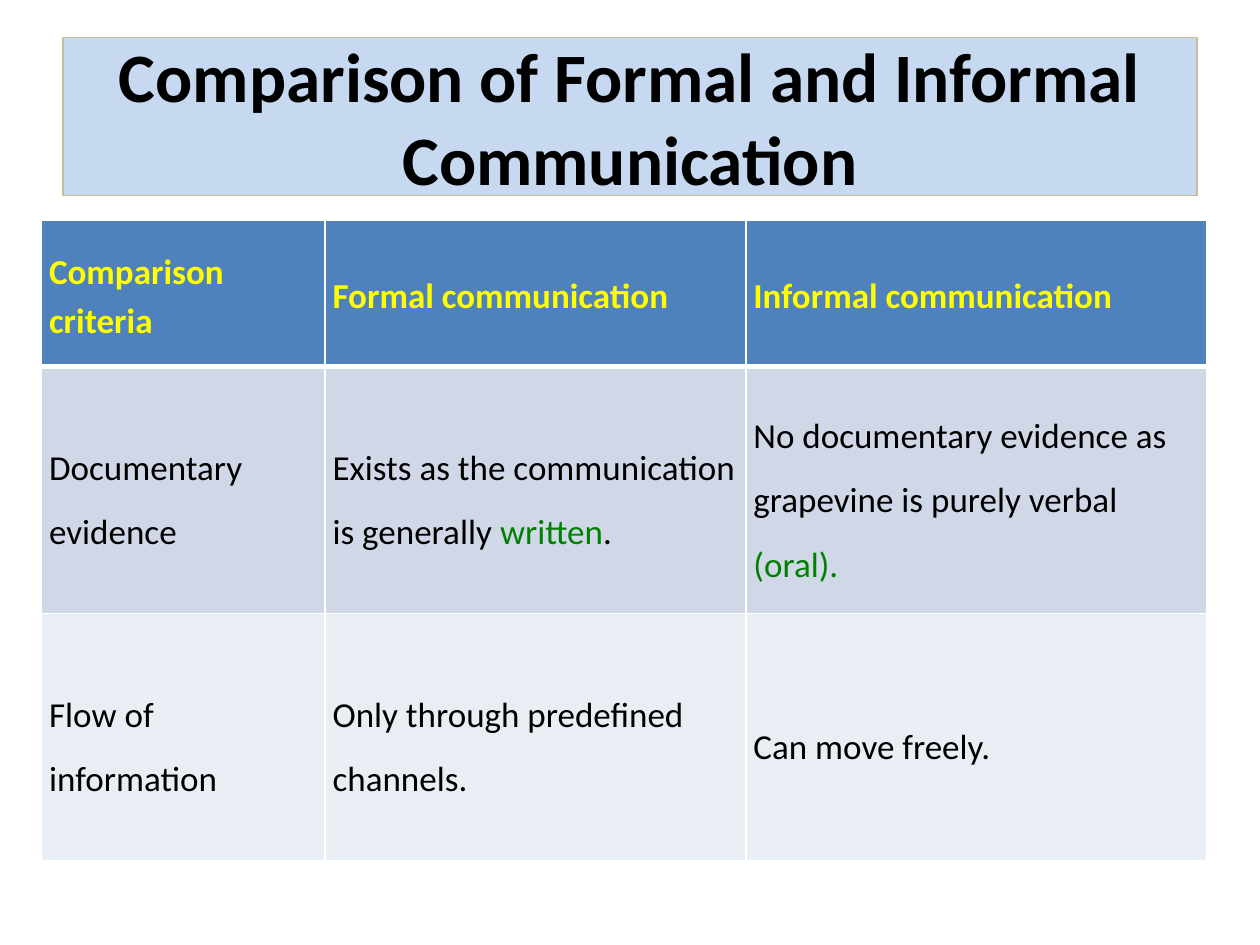
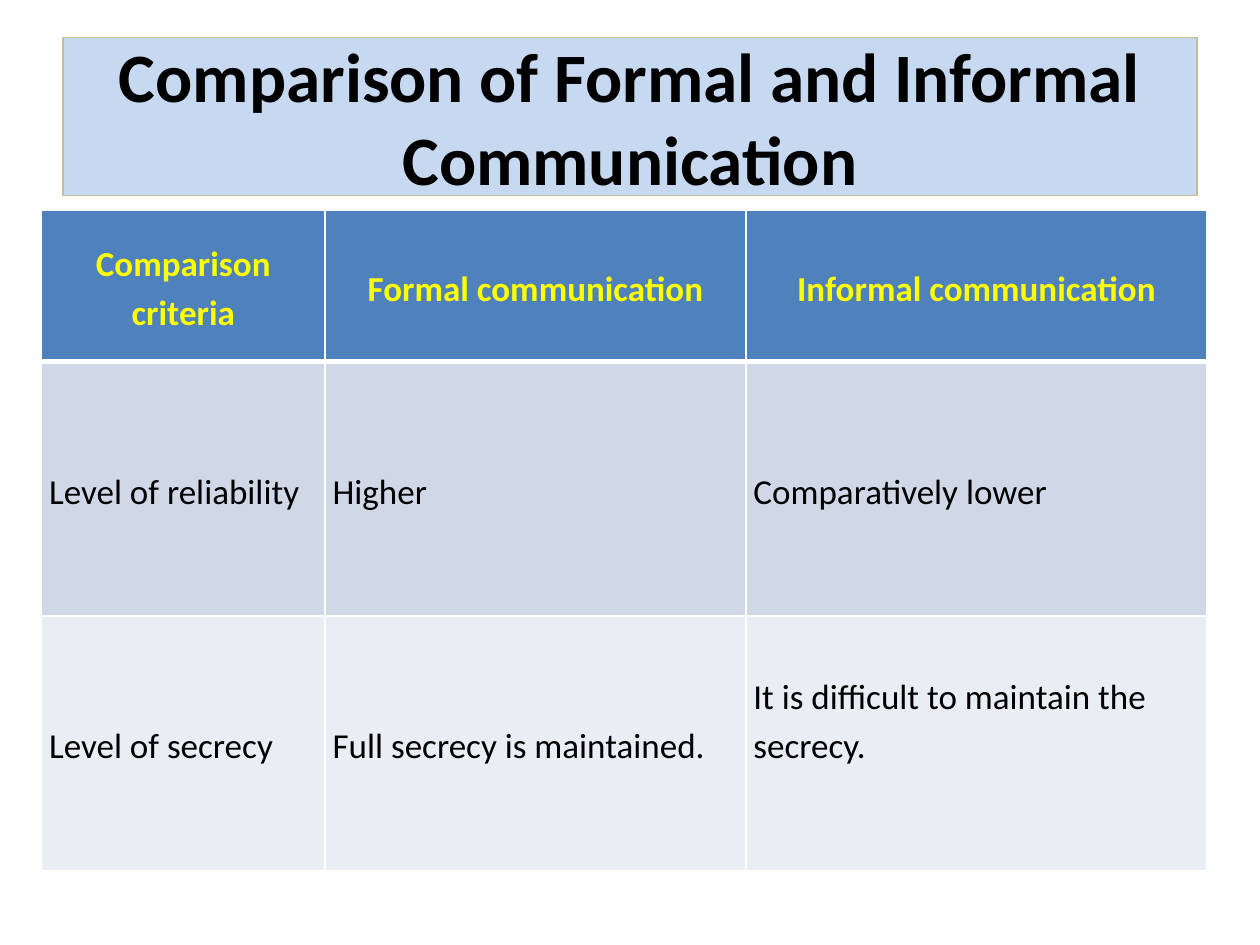
from dataclasses import dataclass

from lxml import etree
from pptx import Presentation
from pptx import util as u
from pptx.dml import color
from pptx.enum import shapes, text
from pptx.oxml import ns


@dataclass(frozen=True)
class Theme:
    font: str = "Calibri"
    title_size: float = 39.6
    table_size: float = 20
    ink: str = "000000"
    band_fill: str = "C6D9F1"
    band_line: str = "C4BD97"
    header_fill: str = "4F81BD"
    header_ink: str = "FFFF00"
    accent: str = "008000"
    row_fills: tuple = ("D0D8E8", "E9EDF4")
    rule: str = "FFFFFF"
    cell_inset: float = 0.06


THEME = Theme()
LEFT, CENTER = text.PP_ALIGN.LEFT, text.PP_ALIGN.CENTER
TITLE = "Comparison of Formal and Informal Communication"
HEADINGS = ["Comparison criteria", "Formal communication", "Informal communication"]
COLUMN_WIDTHS = [2.25, 3.34, 3.66]


def rgb(value):
    return color.RGBColor.from_string(value)


def write(frame, content, *, size, ink=THEME.ink, bold=False, align=LEFT, spacing=1.0):
    paragraph = frame.paragraphs[0]
    paragraph.alignment = align
    paragraph.line_spacing = spacing
    pieces = [content] if isinstance(content, str) else content
    for piece in pieces:
        words, piece_ink = (piece, ink) if isinstance(piece, str) else piece
        run = paragraph.add_run()
        run.text = words
        run.font.name = THEME.font
        run.font.size = u.Pt(size)
        run.font.bold = bold
        run.font.color.rgb = rgb(piece_ink)


class Deck:
    def __init__(self, theme):
        self.theme = theme
        self.deck = Presentation()
        self.deck.slide_width = u.Inches(10)
        self.deck.slide_height = u.Inches(7.5)
        self.slide = None

    def new_slide(self):
        self.slide = self.deck.slides.add_slide(self.deck.slide_layouts[6])

    def title_band(self, title):
        band = self.slide.shapes.add_shape(
            shapes.MSO_SHAPE.RECTANGLE,
            u.Inches(0.5), u.Inches(0.3), u.Inches(9), u.Inches(1.25))
        band.shadow.inherit = False
        band.fill.solid()
        band.fill.fore_color.rgb = rgb(self.theme.band_fill)
        band.line.color.rgb = rgb(self.theme.band_line)
        band.line.width = u.Pt(0.75)
        frame = band.text_frame
        frame.word_wrap = True
        frame.margin_top = frame.margin_bottom = 0
        frame.vertical_anchor = text.MSO_ANCHOR.MIDDLE
        write(frame, title, size=self.theme.title_size, bold=True, align=CENTER)

    def cell_rules(self, cell, **widths):
        properties = cell._tc.get_or_add_tcPr()
        for side in "LRTB":
            rule = etree.SubElement(properties, ns.qn(f"a:ln{side}"),
                                    w=str(u.Pt(widths.get(side, 1))))
            solid = etree.SubElement(rule, ns.qn("a:solidFill"))
            etree.SubElement(solid, ns.qn("a:srgbClr"), val=self.theme.rule)

    def style_cell(self, cell, fill, **widths):
        self.cell_rules(cell, **widths)
        cell.fill.solid()
        cell.fill.fore_color.rgb = rgb(fill)
        cell.vertical_anchor = text.MSO_ANCHOR.MIDDLE
        inset = u.Inches(self.theme.cell_inset)
        cell.margin_left = cell.margin_right = inset
        cell.margin_top = cell.margin_bottom = inset

    def comparison_table(self, top, header_height, row_height, rows,
                         heading_align, body_spacing):
        heights = [header_height] + [row_height] * len(rows)
        table = self.slide.shapes.add_table(
            len(heights), len(HEADINGS), u.Inches(0.33), u.Inches(top),
            u.Inches(sum(COLUMN_WIDTHS)), u.Inches(sum(heights))).table
        table.first_row = table.horz_banding = False
        for column, width in zip(table.columns, COLUMN_WIDTHS):
            column.width = u.Inches(width)
        for row, height in zip(table.rows, heights):
            row.height = u.Inches(height)
        for column, heading in enumerate(HEADINGS):
            cell = table.cell(0, column)
            self.style_cell(cell, self.theme.header_fill, B=3)
            write(cell.text_frame, heading, size=self.theme.table_size, bold=True,
                  ink=self.theme.header_ink, align=heading_align, spacing=1.15)
        for index, (entries, fill) in enumerate(zip(rows, self.theme.row_fills), 1):
            for column, entry in enumerate(entries):
                cell = table.cell(index, column)
                self.style_cell(cell, fill, T=3 if index == 1 else 1)
                write(cell.text_frame, entry, size=self.theme.table_size,
                      spacing=body_spacing)
        return table

    def save(self):
        self.deck.save("out.pptx")


def main():
    deck = Deck(THEME)

    deck.new_slide()
    deck.title_band(TITLE)
    deck.comparison_table(1.75, 1.16, 1.96, [
        ["Documentary evidence",
         ["Exists as the communication is generally ", ("written", THEME.accent), "."],
         ["No documentary evidence as grapevine is purely verbal ",
          ("(oral).", THEME.accent)]],
        ["Flow of information", "Only through predefined channels.", "Can move freely."],
    ], heading_align=LEFT, body_spacing=1.5)

    deck.new_slide()
    deck.title_band(TITLE)
    reliability_and_secrecy = deck.comparison_table(1.67, 1.2, 2.02, [
        ["Level of reliability", "Higher", "Comparatively lower"],
        ["Level of secrecy", "Full secrecy is maintained.",
         "It is difficult to maintain the secrecy."],
    ], heading_align=CENTER, body_spacing=1.15)
    reliability_and_secrecy.cell(2, 2).margin_bottom = u.Inches(0.45)

    deck.save()


if __name__ == "__main__":
    main()
